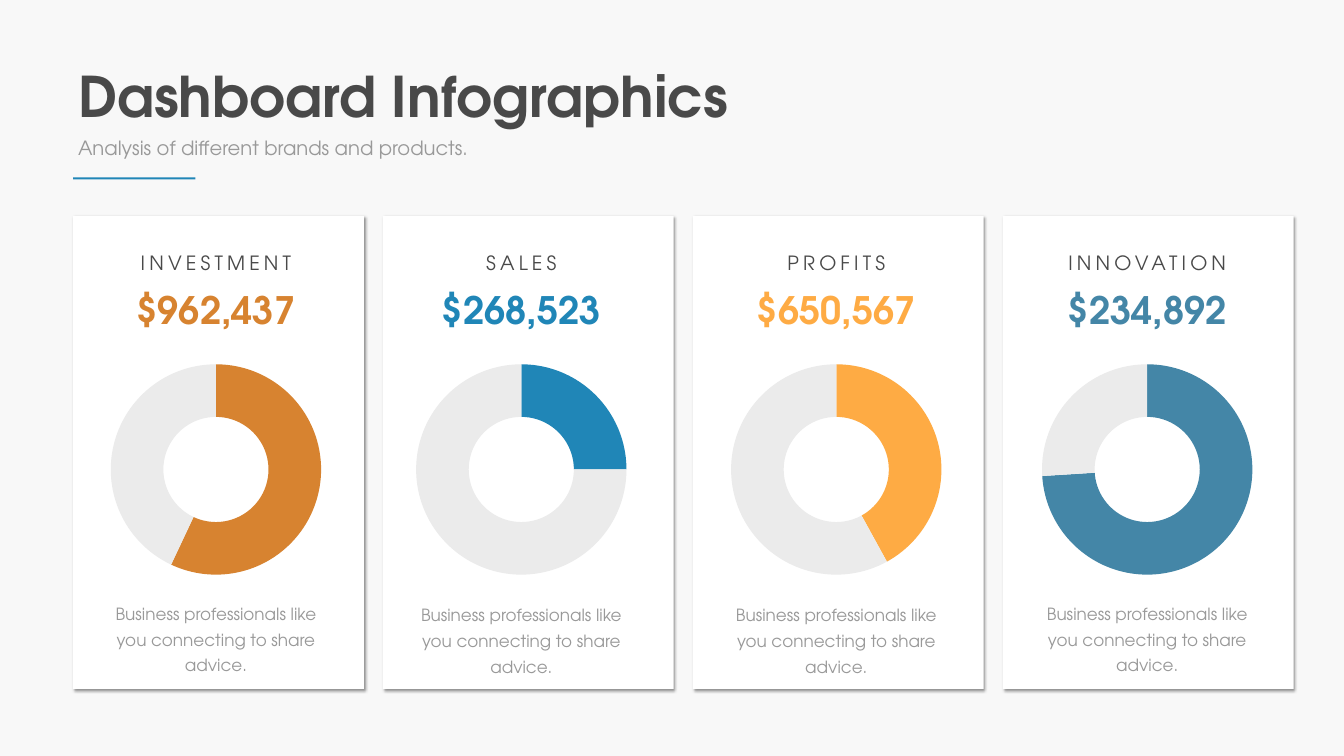
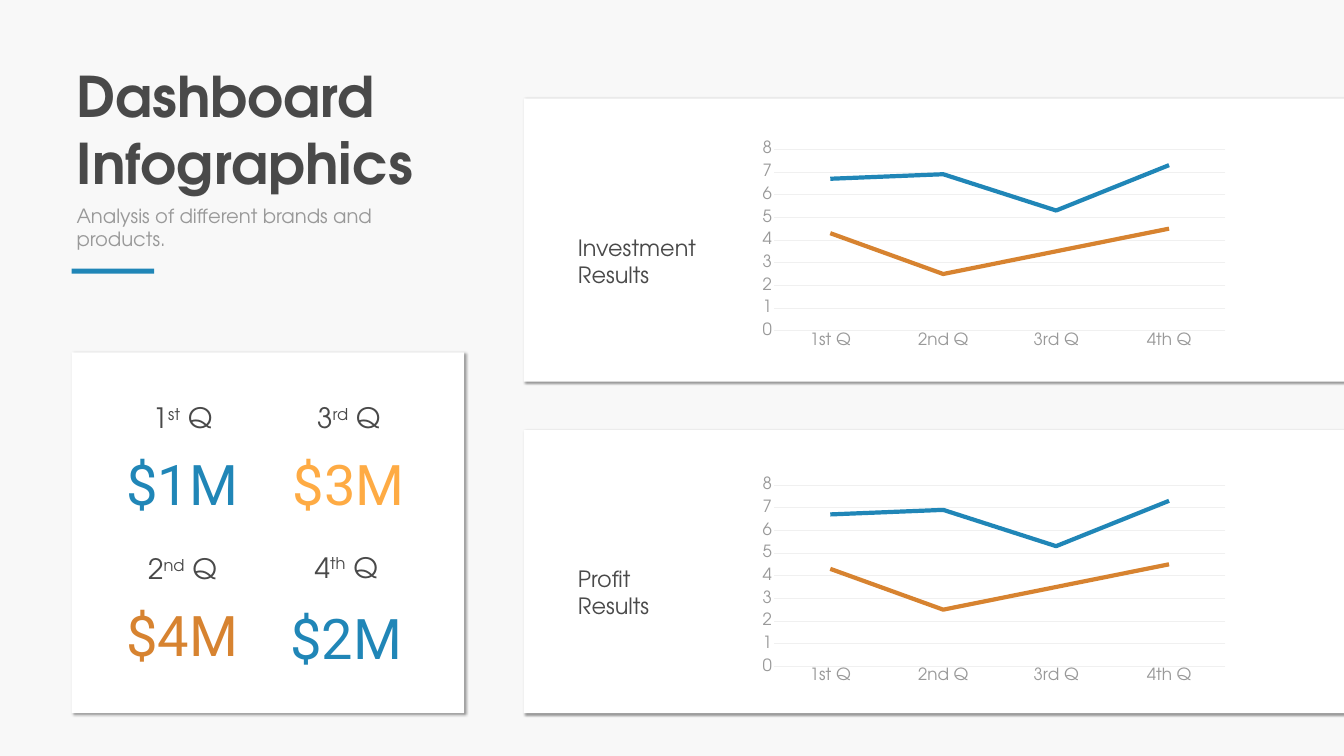
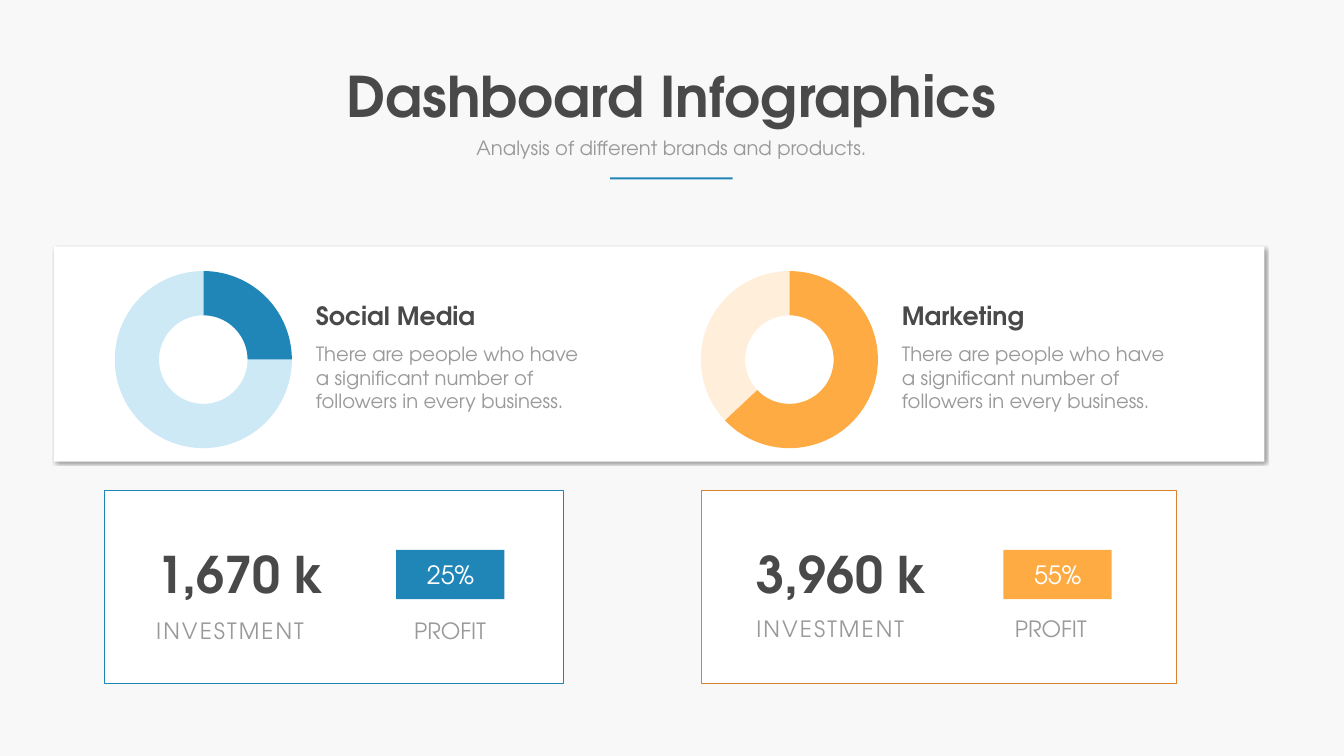
from dataclasses import dataclass

from lxml import etree
from pptx import Presentation
from pptx.chart.data import CategoryChartData
from pptx.dml.color import RGBColor
from pptx.enum import chart as ch, shapes, text
from pptx.oxml.ns import qn
from pptx.util import Inches, Pt

LEFT, CENTER = text.PP_ALIGN.LEFT, text.PP_ALIGN.CENTER


@dataclass(frozen=True)
class Theme:
    # Colours
    page: str = "F8F8F8"
    white: str = "FFFFFF"
    dark: str = "494949"
    gray: str = "999999"
    grid: str = "F0F0F0"
    track: str = "EBEBEB"
    blue: str = "2086B7"
    steel: str = "4486A7"
    pale_blue: str = "CDE9F6"
    orange: str = "D78330"
    amber: str = "FEAB44"
    pale_amber: str = "FFEEDA"
    # Fonts
    font: str = "TeX Gyre Adventor"
    figure_font: str = "Roboto"
    # Type sizes
    title: int = 80
    number: int = 72
    amount: int = 54
    quarter: int = 40
    heading: int = 36
    label: int = 32
    body: int = 28
    note: int = 24


T = Theme()


# Shared helpers
def rgb(value):
    return RGBColor.from_string(value)


def inches(*values):
    return [Inches(v) for v in values]


def write(sp, content, size=T.body, color=T.gray, font=T.font, bold=False,
          align=LEFT, wrap=True, spacing=None, leading=None):
    """Fill a shape; a newline starts a paragraph, ^marks^ enclose superscript."""
    tf = sp.text_frame
    tf.word_wrap = wrap
    tf.vertical_anchor = text.MSO_ANCHOR.TOP
    tf.auto_size = text.MSO_AUTO_SIZE.SHAPE_TO_FIT_TEXT
    for i, line in enumerate(content.split("\n")):
        p = tf.add_paragraph() if i else tf.paragraphs[0]
        p.alignment = align
        if leading:
            p.line_spacing = Pt(leading)
        for k, piece in enumerate(line.split("^")):
            r = p.add_run()
            r.text = piece
            r.font.name, r.font.size, r.font.bold = font, Pt(size), bold
            r.font.color.rgb = rgb(color)
            if k % 2:
                r._r.get_or_add_rPr().set("baseline", "30000")
            if spacing:
                r._r.get_or_add_rPr().set("spc", str(spacing * 100))


def add_text(slide, x, y, w, h, content, **style):
    write(slide.shapes.add_textbox(*inches(x, y, w, h)), content, **style)


def add_rect(slide, x, y, w, h, fill, line=None, shadow=False):
    sp = slide.shapes.add_shape(shapes.MSO_SHAPE.RECTANGLE, *inches(x, y, w, h))
    sp.shadow.inherit = False
    sp.fill.solid()
    sp.fill.fore_color.rgb = rgb(fill)
    if line:
        sp.line.color.rgb = rgb(line)
        sp.line.width = Pt(1)
    else:
        sp.line.fill.background()
    if shadow:
        effects = sp._element.spPr.find(qn("a:effectLst"))
        outer = etree.SubElement(effects, qn("a:outerShdw"), blurRad=str(Pt(4)),
                                 dist=str(Pt(3)), dir="2700000", algn="tl",
                                 rotWithShape="0")
        tint = etree.SubElement(outer, qn("a:srgbClr"), val="000000")
        etree.SubElement(tint, qn("a:alpha"), val="40000")


def add_chart(slide, kind, x, y, w, h, categories, series, font, size):
    data = CategoryChartData()
    data.categories = categories
    for name, values in series:
        data.add_series(name, values)
    chart = slide.shapes.add_chart(kind, *inches(x, y, w, h), data).chart
    chart.has_title = chart.has_legend = False
    chart.font.name, chart.font.size = font, Pt(size)
    chart.font.color.rgb = rgb(T.gray)
    return chart


def add_donut(slide, x, y, w, h, share, color, track):
    chart = add_chart(slide, ch.XL_CHART_TYPE.DOUGHNUT, x, y, w, h, ["1", "2"],
                      [("Series 1", (share, 100 - share))], "Calibri", 10)
    for i, shade in enumerate((color, track)):
        fmt = chart.plots[0].series[0].points[i].format
        fmt.fill.solid()
        fmt.fill.fore_color.rgb = rgb(shade)
        fmt.line.fill.background()


def add_line_chart(slide, x, y, w, h):
    chart = add_chart(slide, ch.XL_CHART_TYPE.LINE_STACKED, x, y, w, h,
                      ["1st Q", "2nd Q", "3rd Q", "4th Q"],
                      [("Series 1", (4.3, 2.5, 3.5, 4.5)),
                       ("Series 2", (2.4, 4.4, 1.8, 2.8))], "Lato", T.note)
    plot = chart.plots[0]
    plot.vary_by_categories = False
    for s, color in zip(plot.series, (T.orange, T.blue)):
        s.smooth = False
        s.format.line.color.rgb = rgb(color)
        s.format.line.width = Pt(6)
    cat, val = chart.category_axis, chart.value_axis
    for axis in (cat, val):
        axis.major_tick_mark = axis.minor_tick_mark = ch.XL_TICK_MARK.NONE
        font = axis.tick_labels.font
        font.name, font.size = T.font, Pt(T.note)
        font.color.rgb = rgb(T.gray)
    val.minimum_scale, val.maximum_scale, val.major_unit = 0, 8, 1
    val.format.line.fill.background()
    val.has_major_gridlines = True
    for line in (cat.format.line, val.major_gridlines.format.line):
        line.color.rgb = rgb(T.grid)
        line.width = Pt(0.75)


def add_header(slide, x, y, w, h, subtitle=(9.56, 0.57), rule=(2.43, 0.04),
               align=LEFT, wrap=False):
    def start(width):
        return x + (w - width) / 2 if align == CENTER else x

    title = slide.shapes.title
    title.left, title.top, title.width, title.height = inches(x, y, w, h)
    write(title, "Dashboard Infographics", size=T.title, color=T.dark, bold=True,
          align=align, wrap=wrap)
    sub_y = y + h + 0.03
    add_text(slide, start(subtitle[0]), sub_y, *subtitle,
             "Analysis of different brands and products.", align=align)
    add_rect(slide, start(rule[0]), sub_y + subtitle[1] + 0.3, *rule, T.blue)


# Slide 1: four metric cards
def metric_card(slide, x, y, w, h, inset, name, amount, share, color, note_y):
    add_rect(slide, x, y, w, h, T.white, shadow=True)
    left = x + inset
    add_text(slide, left, y + 0.64, 4.85, 0.57, name, color=T.dark, align=CENTER,
             spacing=6)
    add_text(slide, left, y + 1.35, 4.85, 1.01, amount, size=T.amount, color=color,
             bold=True, align=CENTER)
    add_donut(slide, left + 0.13, y + 2.8, 4.59, 4.45, share, color, T.track)
    add_text(slide, left + 0.05, y + note_y, 4.75, 1.6,
             "Business professionals like you connecting to share advice.",
             size=T.note, align=CENTER, leading=36.6)


def metrics_slide(slide):
    add_header(slide, 1.45, 1.17, 13.27, 1.45)
    cards = [
        (0.41, "INVESTMENT", "$962,437", 57, T.orange, 7.53),
        (0.32, "SALES", "$268,523", 25, T.blue, 7.56),
        (0.42, "PROFITS", "$650,567", 42, T.amber, 7.56),
        (0.44, "INNOVATION", "$234,892", 74, T.steel, 7.53),
    ]
    for i, card in enumerate(cards):
        metric_card(slide, 1.45 + 6.15 * i, 4.29, 5.77, 9.38, *card)


# Slide 2: quarter figures and result charts
def quarters_card(slide, x, y, w, h):
    add_rect(slide, x, y, w, h, T.white, shadow=True)
    quarters = [
        (0.54, 0.91, 0.97, "1^st^ Q", "$1M", T.blue),
        (0.54, 3.91, 0.96, "2^nd^ Q", "$4M", T.orange),
        (3.84, 0.91, 0.97, "3^rd^ Q", "$3M", T.amber),
        (3.79, 3.88, 1.05, "4^th^ Q", "$2M", T.blue),
    ]
    for dx, dy, gap, quarter, amount, color in quarters:
        add_text(slide, x + dx, y + dy, 3.32, 0.77, quarter, size=T.quarter,
                 color=T.dark, align=CENTER)
        add_text(slide, x + dx + 0.42, y + dy + gap, 2.48, 1.45, amount,
                 size=T.title, color=color, font=T.figure_font, align=CENTER)


def results_panel(slide, x, y, w, h, label, chart_y):
    add_rect(slide, x, y, w, h, T.white, shadow=True)
    add_text(slide, x + 0.98, y + 2.64, 3.26, 1.18, label, size=T.label,
             color=T.dark)
    add_line_chart(slide, x + 4.55, y + chart_y, 9.57, 4.28)


def results_slide(slide):
    add_header(slide, 1.42, 1.17, 8.97, 2.79, subtitle=(6.46, 1.04),
               rule=(1.64, 0.1), wrap=True)
    quarters_card(slide, 1.42, 6.99, 7.79, 7.16)
    results_panel(slide, 10.39, 1.95, 16.28, 5.62, "Investment\nResults", 0.77)
    results_panel(slide, 10.39, 8.53, 16.28, 5.62, "Profit\nResults", 0.85)


# Slide 3: channel shares and key figures
def channel(slide, x, y, name, share, color, track):
    add_donut(slide, x, y, 3.91, 3.79, share, color, track)
    add_text(slide, x + 4.09, y + 0.67, 5.54, 0.71, name, size=T.heading,
             color=T.dark, bold=True)
    add_text(slide, x + 4.09, y + 1.5, 5.56, 1.51,
             "There are people who have a significant number of followers "
             "in every business.")


def key_figures(slide, x, y, w, h, number, percent, line, fill, number_dx,
                badge_dx, profit_dx, label_dy):
    add_rect(slide, x, y, w, h, T.white, line=line)
    add_text(slide, x + number_dx, y + 1.01, 4.89, 1.31, number, size=T.number,
             color=T.dark, bold=True)
    add_text(slide, x + number_dx, y + label_dy, 4.15, 0.64, "INVESTMENT",
             size=T.label, spacing=3)
    add_rect(slide, x + badge_dx, y + 1.19, 2.15, 0.98, fill)
    add_text(slide, x + badge_dx + 0.32, y + 1.32, 1.52, 0.71, percent,
             size=T.heading, color=T.white, align=CENTER)
    add_text(slide, x + profit_dx, y + label_dy, 2.14, 0.64, "PROFIT",
             size=T.label, align=CENTER)


def channels_slide(slide):
    add_header(slide, 6.69, 1.17, 13.27, 1.45, align=CENTER)
    add_rect(slide, 1.07, 4.89, 24.02, 4.27, T.white, shadow=True)
    channel(slide, 2.08, 5.24, "Social Media", 25, T.blue, T.pale_blue)
    channel(slide, 13.71, 5.24, "Marketing", 63, T.amber, T.pale_amber)
    key_figures(slide, 2.08, 9.72, 9.1, 3.83, "1,670 k", "25%", T.blue, T.blue,
                0.92, 5.78, 5.78, 2.47)
    key_figures(slide, 13.91, 9.72, 9.44, 3.83, "3,960 k", "55%", T.orange,
                T.amber, 1, 6, 5.87, 2.44)


def main():
    prs = Presentation()
    prs.slide_width, prs.slide_height = inches(26.67, 15)
    background = prs.slide_master.background.fill
    background.solid()
    background.fore_color.rgb = rgb(T.page)
    for build in (metrics_slide, results_slide, channels_slide):
        build(prs.slides.add_slide(prs.slide_layouts[5]))
    prs.save("out.pptx")


if __name__ == "__main__":
    main()
